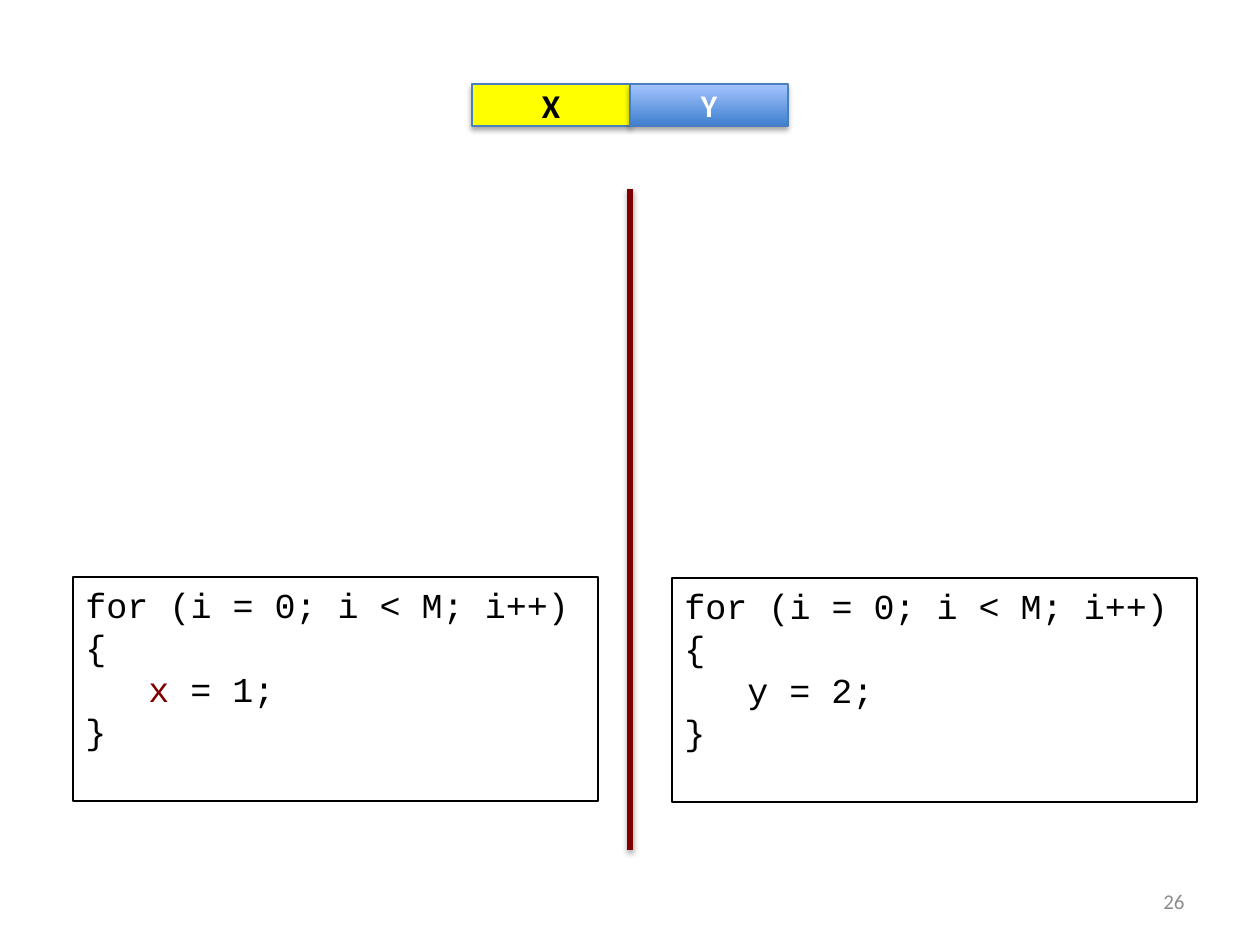
from dataclasses import dataclass

from lxml.etree import SubElement
from pptx import Presentation
from pptx.dml.color import RGBColor
from pptx.enum.shapes import MSO_CONNECTOR, MSO_SHAPE
from pptx.enum.text import MSO_ANCHOR, PP_ALIGN
from pptx.oxml.ns import qn
from pptx.util import Emu, Pt

EMU_PER_PX = 914400 / 126


@dataclass(frozen=True)
class Theme:
    body_font: str = "Calibri"
    code_font: str = "Courier New"
    black: str = "000000"
    white: str = "FFFFFF"
    grey: str = "8C8C8C"
    red: str = "800000"
    yellow: str = "FFFF00"
    blue_line: str = "4B7EBC"
    blue_dark: str = "3F80CE"
    blue_light: str = "A4C4FF"
    number_size: int = 12
    code_size: int = 20


THEME = Theme()


def px(length):
    return Emu(round(length * EMU_PER_PX))


def rgb(value):
    return RGBColor.from_string(value)


def add_run(paragraph, text, font, size, color, bold=False):
    run = paragraph.add_run()
    run.text = text
    run.font.name = font
    run.font.size = Pt(size)
    run.font.bold = bold
    run.font.color.rgb = rgb(color)


def set_line(line, color, width):
    line.color.rgb = rgb(color)
    line.width = Pt(width)


def add_shadow(shape, distance, opacity):
    """Put a soft downward shadow after the fill and line properties."""
    effects = SubElement(shape._element.spPr, qn("a:effectLst"))
    shadow = SubElement(effects, qn("a:outerShdw"), blurRad=str(Pt(3.1)),
                        dist=str(Pt(distance)), dir="5400000", rotWithShape="0")
    color = SubElement(shadow, qn("a:srgbClr"), val=THEME.black)
    SubElement(color, qn("a:alpha"), val=str(opacity * 1000))


def add_variable_cell(slide, left, label, size, color, fill_colors):
    cell = slide.shapes.add_shape(MSO_SHAPE.RECTANGLE, px(left), px(84), px(158), px(42))
    if len(fill_colors) == 1:
        cell.fill.solid()
        cell.fill.fore_color.rgb = rgb(fill_colors[0])
    else:
        cell.fill.gradient()
        cell.fill.gradient_angle = 90
        for stop, stop_color, position in zip(cell.fill.gradient_stops, fill_colors, (0, 1)):
            stop.color.rgb = rgb(stop_color)
            stop.position = position
    set_line(cell.line, THEME.blue_line, 0.75)
    add_shadow(cell, 1.8, 35)
    cell.text_frame.vertical_anchor = MSO_ANCHOR.MIDDLE
    paragraph = cell.text_frame.paragraphs[0]
    paragraph.alignment = PP_ALIGN.CENTER
    add_run(paragraph, label, THEME.body_font, size, color, bold=True)


def add_divider(slide):
    divider = slide.shapes.add_connector(MSO_CONNECTOR.STRAIGHT,
                                         px(630), px(189), px(630), px(850))
    set_line(divider.line, THEME.red, 3)
    add_shadow(divider, 1.6, 38)


def add_loop_code(slide, left, top, statement):
    """Draw a loop whose body is a list of (text, color) runs."""
    box = slide.shapes.add_textbox(px(left), px(top), px(525), px(224))
    set_line(box.line, THEME.black, 1.5)
    frame = box.text_frame
    frame.word_wrap = True
    lines = [
        [("for (i = 0; i < M; i++)", THEME.black)],
        [("{", THEME.black)],
        [("\t", THEME.black), *statement],
        [("}", THEME.black)],
    ]
    for index, runs in enumerate(lines):
        paragraph = frame.add_paragraph() if index else frame.paragraphs[0]
        for text, color in runs:
            add_run(paragraph, text, THEME.code_font, THEME.code_size, color)


def add_slide_number(slide, number):
    box = slide.shapes.add_textbox(px(903), px(876), px(294), px(50))
    box.text_frame.word_wrap = True
    box.text_frame.vertical_anchor = MSO_ANCHOR.MIDDLE
    paragraph = box.text_frame.paragraphs[0]
    paragraph.alignment = PP_ALIGN.RIGHT
    add_run(paragraph, number, THEME.body_font, THEME.number_size, THEME.grey)


def main():
    presentation = Presentation()
    presentation.slide_width = px(1260)
    presentation.slide_height = px(945)
    slide = presentation.slides.add_slide(presentation.slide_layouts[6])

    add_slide_number(slide, "26")

    # Neighbouring variables in one cache line
    add_variable_cell(slide, 472, "X", 19, THEME.black, [THEME.yellow])
    add_variable_cell(slide, 630, "Y", 18, THEME.white, [THEME.blue_dark, THEME.blue_light])

    # The two threads, one on each side of the divider
    add_divider(slide)
    add_loop_code(slide, 73, 577, [("x", THEME.red), (" = 1;", THEME.black)])
    add_loop_code(slide, 672, 578, [("y = 2;", THEME.black)])

    presentation.save("out.pptx")


if __name__ == "__main__":
    main()
